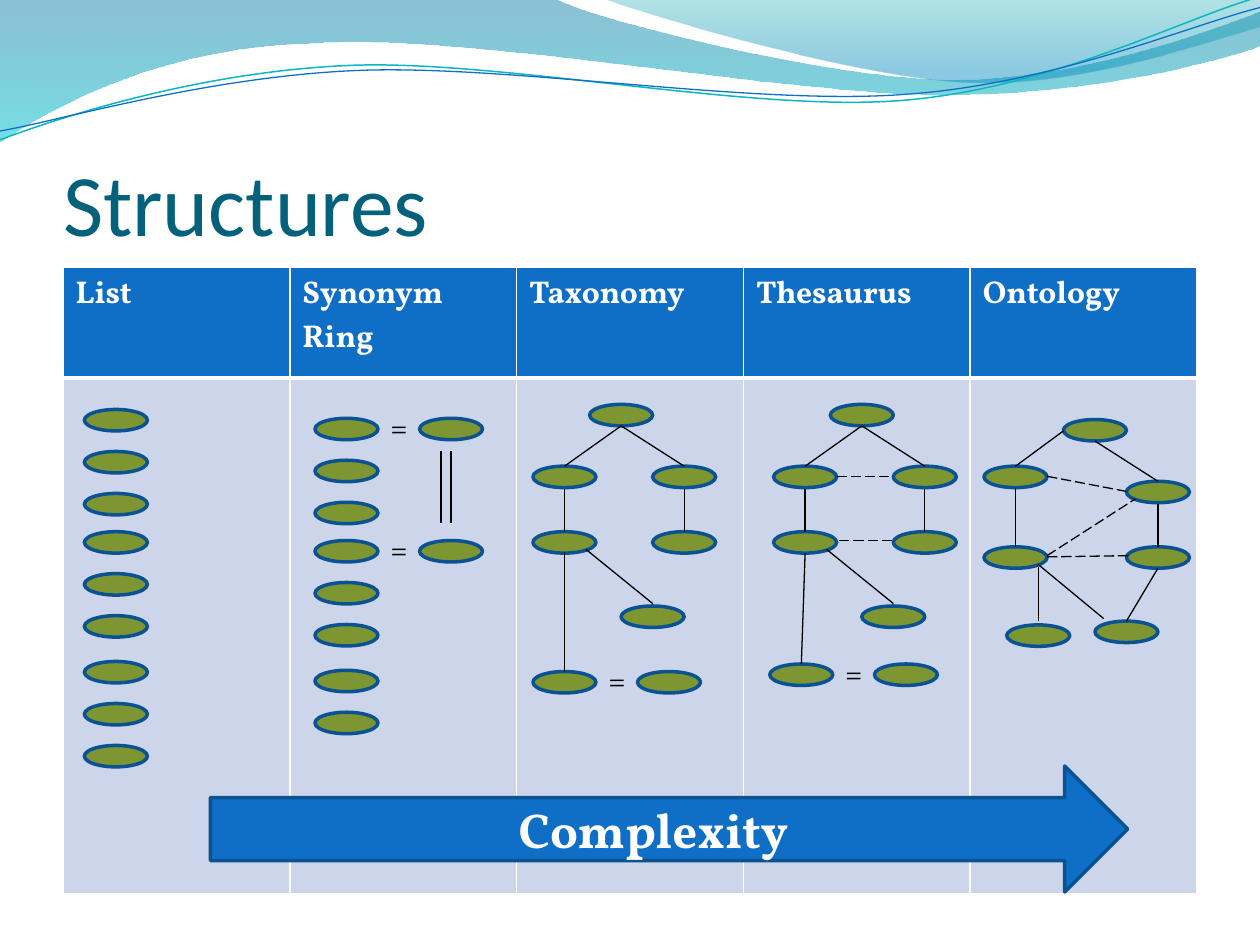
"""Builds a slide comparing five vocabulary structures by rising complexity."""
from itertools import chain
from lxml.etree import SubElement
from pptx import Presentation
from pptx.dml.color import RGBColor
from pptx.enum.dml import MSO_LINE
from pptx.enum.shapes import MSO_CONNECTOR, MSO_SHAPE
from pptx.enum.text import MSO_ANCHOR, PP_ALIGN
from pptx.oxml.ns import qn
from pptx.util import Inches, Pt

BLUE = RGBColor(0x0F, 0x6F, 0xC6)
DARK_BLUE = RGBColor(0x0B, 0x52, 0x92)
GREEN = RGBColor(0x7E, 0x96, 0x32)
PALE = RGBColor(0xCC, 0xD5, 0xEA)
TITLE_TEAL = RGBColor(0x04, 0x61, 0x7B)
LINE_TEAL = RGBColor(0x0A, 0xB8, 0xBF)
BLACK = RGBColor(0, 0, 0)
WHITE = RGBColor(0xFF, 0xFF, 0xFF)
DEEP_WAVE = RGBColor(0x00, 0x74, 0xA1)
AQUA_WAVE = RGBColor(0x00, 0xC6, 0xCF)
TEAL_WAVE = RGBColor(0x00, 0xA1, 0xA9)
SKY_WAVE = RGBColor(0x00, 0x8B, 0xBF)
FONT = "Vollkorn"

HEADINGS = ["List", "Synonym Ring", "Taxonomy", "Thesaurus", "Ontology"]

FILLED_WAVES = [
    ((0, 0),
     [[(4.4, -0.01)],
      [(4.76, 0.17), (6.64, 0.63), (7.58, 0.63)],
      [(8.53, 0.63), (9.58, 0.26), (10, 0.09)],
      [(10.01, 0.36)],
      [(9.83, 0.44), (8.7, 0.76), (7.46, 0.75)],
      [(6.22, 0.75), (3.82, 0.28), (2.57, 0.34)],
      [(1.29, 0.36), (0.46, 0.83), (-0.01, 1.13)],
      [(0, 0)]],
     [(0, DEEP_WAVE, 45), (1, AQUA_WAVE, 55)]),
    ((4.79, -0.01),
     [[(5.09, 0.11), (6.82, 0.62), (7.69, 0.65)],
      [(8.56, 0.69), (9.61, 0.32), (10, 0.21)],
      [(10, 0)],
      [(4.79, -0.01)]],
     [(0, TEAL_WAVE, 30), (0.8, SKY_WAVE, 45)]),
]
LINE_WAVES = [
    ((0, 1.11),
     [[(0.48, 0.93), (1.58, 0.57), (2.77, 0.52)],
      [(3.95, 0.47), (5.93, 0.89), (7.13, 0.8)],
      [(8.33, 0.71), (9.38, 0.15), (9.98, -0.02)]],
     LINE_TEAL, 0.85),
    ((0, 1.04),
     [[(0.47, 0.96), (1.64, 0.61), (2.83, 0.56)],
      [(4.03, 0.51), (5.97, 0.84), (7.17, 0.75)],
      [(8.36, 0.67), (9.41, 0.21), (10, 0.06)]],
     BLUE, 0.75),
]

NODE_W, NODE_H = 0.5, 0.17
LIST_X, RING_X, RING_DROP = 0.67, 2.5, 0.07
LIST_TOPS = [top + step / 3 for top in (3.25, 4.22, 5.25) for step in range(3)]
TREE_LEFTS = [4.23, 6.14]
TREE_NODES = [(0.45, 3.21), (0, 3.7), (0.95, 3.7), (0, 4.22), (0.95, 4.22), (0.7, 4.81)]
TREE_LINKS = [(0.7, 3.38, 0.25, 3.7), (0.7, 3.38, 1.2, 3.7), (0.25, 3.88, 0.25, 4.22),
              (1.2, 3.88, 1.2, 4.22), (0.42, 4.36, 0.95, 4.79)]
ONTOLOGY_NODES = [(8.44, 3.33), (7.81, 3.7), (8.94, 3.82), (7.81, 4.34),
                  (8.94, 4.34), (7.99, 4.96), (8.69, 4.93)]
EQUAL_PAIRS = [(RING_X, 3.32), (RING_X, 4.29), (4.23, 5.33), (6.11, 5.27)]
LINKS = [
    (3.58, 3.58, 3.58, 4.15), (3.5, 3.58, 3.5, 4.15),
    (4.48, 4.38, 4.48, 5.33), (6.39, 4.39, 6.36, 5.27),
    (8.44, 3.42, 8.06, 3.7), (8.69, 3.5, 9.19, 3.82), (8.06, 3.87, 8.06, 4.34),
    (9.19, 4, 9.19, 4.34), (8.24, 4.5, 8.24, 4.93), (8.24, 4.48, 8.76, 4.91),
    (9.19, 4.51, 8.94, 4.93),
]
DASHED_LINKS = [(6.64, 3.78, 7.08, 3.78), (6.66, 4.29, 7.11, 4.29), (8.31, 3.78, 8.94, 3.9),
                (8.31, 4.42, 8.96, 4.41), (8.31, 4.41, 9.01, 3.96)]


def write(frame, text, size, color, font=FONT, bold=False):
    frame.text = text
    face = frame.paragraphs[0].runs[0].font
    face.name, face.size, face.bold = font, Pt(size), bold
    face.color.rgb = color


def add_wave(page, start, segments, close):
    points = [(Inches(x), Inches(y)) for x, y in chain([start], *segments)]
    builder = page.shapes.build_freeform(*points[0])
    builder.add_line_segments(points[1:], close=close)
    wave = builder.convert_to_shape()
    wave.shadow.inherit = False
    strokes = iter(list(wave._element.iter(qn("a:lnTo"))))
    for segment in segments:
        parts = [next(strokes) for point in segment]
        if len(parts) == 3:
            outline = parts[0].getparent()
            curve = outline.makeelement(qn("a:cubicBezTo"))
            parts[0].addprevious(curve)
            for part in parts:
                curve.append(part[0])
                outline.remove(part)
    return wave


def add_waves(page):
    for start, segments, stops in FILLED_WAVES:
        wave = add_wave(page, start, segments, True)
        wave.line.fill.background()
        wave.fill.gradient()
        wave.fill.gradient_angle = 270
        for stop, (position, color, opacity) in zip(wave.fill.gradient_stops, stops):
            stop.position = position
            stop.color.rgb = color
        tints = wave._element.spPr.iter(qn("a:srgbClr"))
        for tint, (position, color, opacity) in zip(tints, stops):
            SubElement(tint, qn("a:alpha")).set("val", str(opacity * 1000))
    for start, segments, color, width in LINE_WAVES:
        wave = add_wave(page, start, segments, False)
        wave.fill.background()
        wave.line.color.rgb, wave.line.width = color, Pt(width)


def add_solid(page, kind, left, top, width, height, color):
    shape = page.shapes.add_shape(kind, Inches(left), Inches(top), Inches(width), Inches(height))
    shape.shadow.inherit = False
    shape.fill.solid()
    shape.fill.fore_color.rgb = color
    shape.line.color.rgb, shape.line.width = DARK_BLUE, Pt(2)
    return shape


def add_node(page, left, top):
    add_solid(page, MSO_SHAPE.OVAL, left, top, NODE_W, NODE_H, GREEN)


def add_link(page, ends, dash=None):
    link = page.shapes.add_connector(MSO_CONNECTOR.STRAIGHT, *map(Inches, ends))
    link.line.color.rgb, link.line.width = BLACK, Pt(0.75)
    if dash:
        link.line.dash_style = dash
    SubElement(link._element.spPr, qn("a:effectLst"))


def add_equal_pair(page, left, top):
    add_node(page, left, top)
    add_node(page, left + 0.83, top)
    box = page.shapes.add_textbox(Inches(left + NODE_W), Inches(top - 0.14),
                                  Inches(0.33), Inches(0.4))
    box.text_frame.word_wrap = True
    write(box.text_frame, "=", 18, BLACK)


def add_border(cell, side, width):
    edge = SubElement(cell._tc.get_or_add_tcPr(), qn("a:" + side), w=str(Pt(width)))
    SubElement(SubElement(edge, qn("a:solidFill")), qn("a:srgbClr")).set("val", str(WHITE))


def add_grid(page):
    grid = page.shapes.add_table(2, len(HEADINGS), Inches(0.5), Inches(2.12),
                                 Inches(9), Inches(4.97)).table
    grid.rows[0].height, grid.rows[1].height = Inches(0.88), Inches(4.09)
    for column, heading in enumerate(HEADINGS):
        write(grid.cell(0, column).text_frame, heading, 18, WHITE, bold=True)
        for row, color in enumerate((BLUE, PALE)):
            cell = grid.cell(row, column)
            for side, width in (("lnL", 1), ("lnR", 1), ("lnT", 3 if row else 1),
                                ("lnB", 1 if row else 3)):
                add_border(cell, side, width)
            cell.fill.solid()
            cell.fill.fore_color.rgb = color


def main():
    deck = Presentation()
    deck.slide_width, deck.slide_height = Inches(10), Inches(7.5)
    page = deck.slides.add_slide(deck.slide_layouts[5])
    add_waves(page)

    title = page.shapes.title
    title.left, title.top, title.width, title.height = map(Inches, (0.5, 0.77, 9, 1.25))
    frame = title.text_frame
    write(frame, "Structures", 50, TITLE_TEAL, "Calibri")
    frame.vertical_anchor = MSO_ANCHOR.BOTTOM
    frame.margin_left = frame.margin_right = frame.margin_bottom = 0
    frame.paragraphs[0].alignment = PP_ALIGN.LEFT

    add_grid(page)
    nodes = [(LIST_X, top) for top in LIST_TOPS]
    nodes += [(RING_X, top + RING_DROP) for i, top in enumerate(LIST_TOPS[:8]) if i not in (0, 3)]
    nodes += [(left + x, y) for left in TREE_LEFTS for x, y in TREE_NODES]
    for node in nodes + ONTOLOGY_NODES:
        add_node(page, *node)
    for pair in EQUAL_PAIRS:
        add_equal_pair(page, *pair)
    tree_links = [(left + x1, y1, left + x2, y2)
                  for left in TREE_LEFTS for x1, y1, x2, y2 in TREE_LINKS]
    for ends in tree_links + LINKS:
        add_link(page, ends)
    for ends in DASHED_LINKS:
        add_link(page, ends, MSO_LINE.LONG_DASH)

    arrow = add_solid(page, MSO_SHAPE.RIGHT_ARROW, 1.67, 6.08, 7.28, 1, BLUE)
    write(arrow.text_frame, "Complexity", 28, WHITE, bold=True)
    arrow.text_frame.vertical_anchor = MSO_ANCHOR.MIDDLE
    arrow.text_frame.paragraphs[0].alignment = PP_ALIGN.CENTER
    deck.save("out.pptx")


if __name__ == "__main__":
    main()
